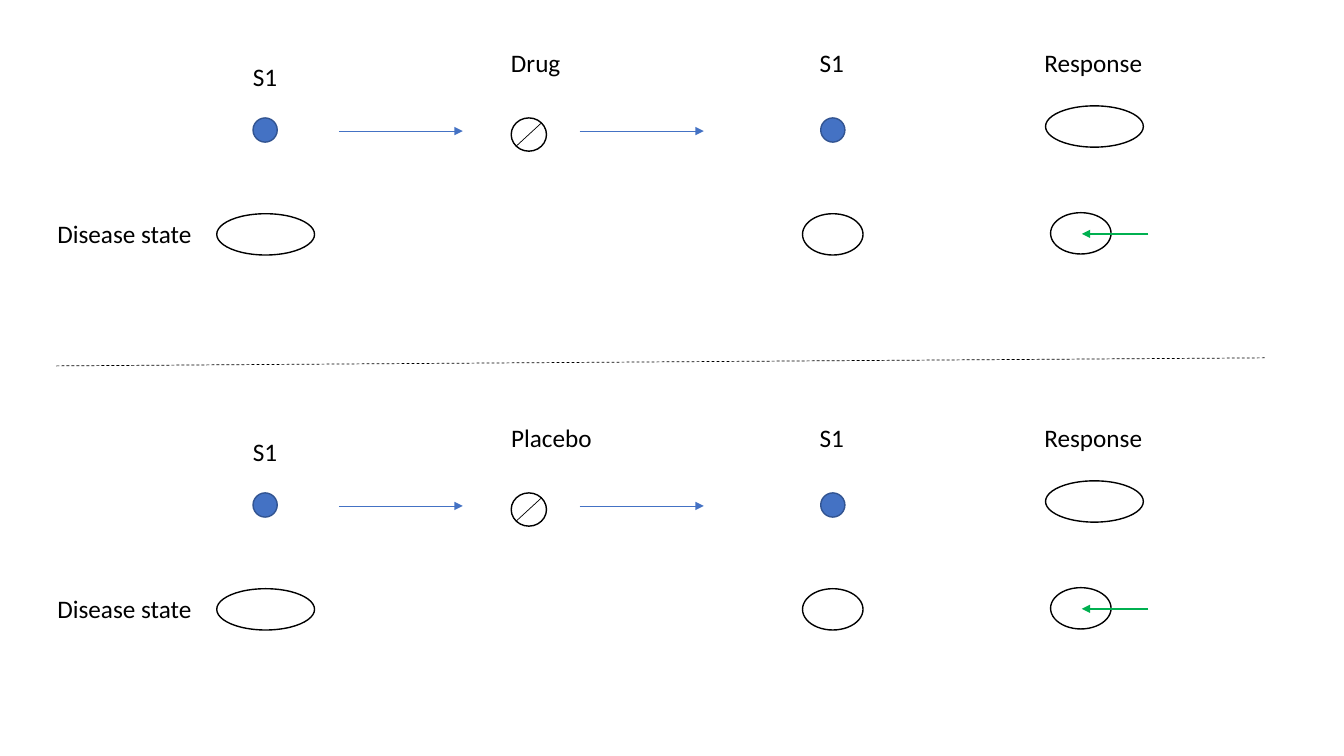
from lxml import etree
from pptx import Presentation
from pptx.dml.color import RGBColor
from pptx.enum.dml import MSO_LINE
from pptx.enum.shapes import MSO_CONNECTOR, MSO_SHAPE
from pptx.enum.text import MSO_AUTO_SIZE
from pptx.oxml.ns import qn
from pptx.util import Pt

OVAL = MSO_SHAPE.OVAL
STRAIGHT = MSO_CONNECTOR.STRAIGHT
DASH = MSO_LINE.DASH
FIT = MSO_AUTO_SIZE.SHAPE_TO_FIT_TEXT

PX = 9144  # 100 px to the inch
WHITE = RGBColor(0xFF, 0xFF, 0xFF)
BLACK = RGBColor(0, 0, 0)
BLUE = RGBColor(0x44, 0x72, 0xC4)
NAVY = RGBColor(0x32, 0x54, 0x91)
GREEN = RGBColor(0x00, 0xB0, 0x50)

# Trial arms: top, treatment, width of its label
ARMS = [(0, "Drug", 70), (372, "Placebo", 101)]

# Parts of every arm, measured from its top
OVALS = [  # left, top, width, height, fill, line
    (251, 117, 24, 24, BLUE, NAVY),
    (215, 212, 97, 41, WHITE, BLACK),
    (814, 117, 24, 24, BLUE, NAVY),
    (796, 212, 60, 41, WHITE, BLACK),
    (507, 117, 35, 33, WHITE, BLACK),
    (1037, 105, 97, 41, WHITE, BLACK),
    (1042, 211, 60, 41, WHITE, BLACK),
]
LINES = [  # x1, y1, x2, y2, colour, points, arrow
    (336, 130, 459, 130, BLUE, 0.5, True),
    (575, 130, 698, 130, BLUE, 0.5, True),
    (512, 145, 537, 122, BLACK, 0.5, False),
    (1139, 232, 1073, 232, GREEN, 1.5, True),
]
LABELS = [  # text, left, top, width
    ("S1", 241, 56, 45),
    ("S1", 803, 42, 45),
    ("Disease state", 47, 212, 155),
    ("Response", 1026, 42, 118),
]
DIVIDER = (56, 363, 1255, 355, BLACK, 0.5, False)

prs = Presentation()
prs.slide_width, prs.slide_height = 1333 * PX, 750 * PX
slide = prs.slides.add_slide(prs.slide_layouts[6])
shapes = slide.shapes


def add_oval(x, y, w, h, fill, edge):
    oval = shapes.add_shape(OVAL, x * PX, y * PX, w * PX, h * PX)
    oval.shadow.inherit = False
    oval.fill.solid()
    oval.fill.fore_color.rgb = fill
    oval.line.color.rgb = edge
    oval.line.width = Pt(1)


def add_line(x1, y1, x2, y2, color, points, arrow):
    link = shapes.add_connector(STRAIGHT, x1 * PX, y1 * PX, x2 * PX, y2 * PX)
    link.line.color.rgb = color
    link.line.width = Pt(points)
    if arrow:
        ln = link.line._get_or_add_ln()
        etree.SubElement(ln, qn("a:tailEnd"), type="triangle")
    etree.SubElement(link._element.spPr, qn("a:effectLst"))
    return link


def add_label(text, x, y, w):
    box = shapes.add_textbox(x * PX, y * PX, w * PX, 40 * PX)
    frame = box.text_frame
    frame.word_wrap = False
    frame.auto_size = FIT
    frame.text = text
    font = frame.paragraphs[0].font
    font.name, font.size = "Calibri", Pt(18)
    font.color.rgb = BLACK


# Both arms
for top, drug, width in ARMS:
    for x, y, *rest in OVALS:
        add_oval(x, top + y, *rest)
    for x1, y1, x2, y2, *rest in LINES:
        add_line(x1, top + y1, x2, top + y2, *rest)
    for text, x, y, w in LABELS + [(drug, 497, 42, width)]:
        add_label(text, x, top + y, w)

# Dashed divider between the arms
add_line(*DIVIDER).line.dash_style = DASH

prs.save("out.pptx")
